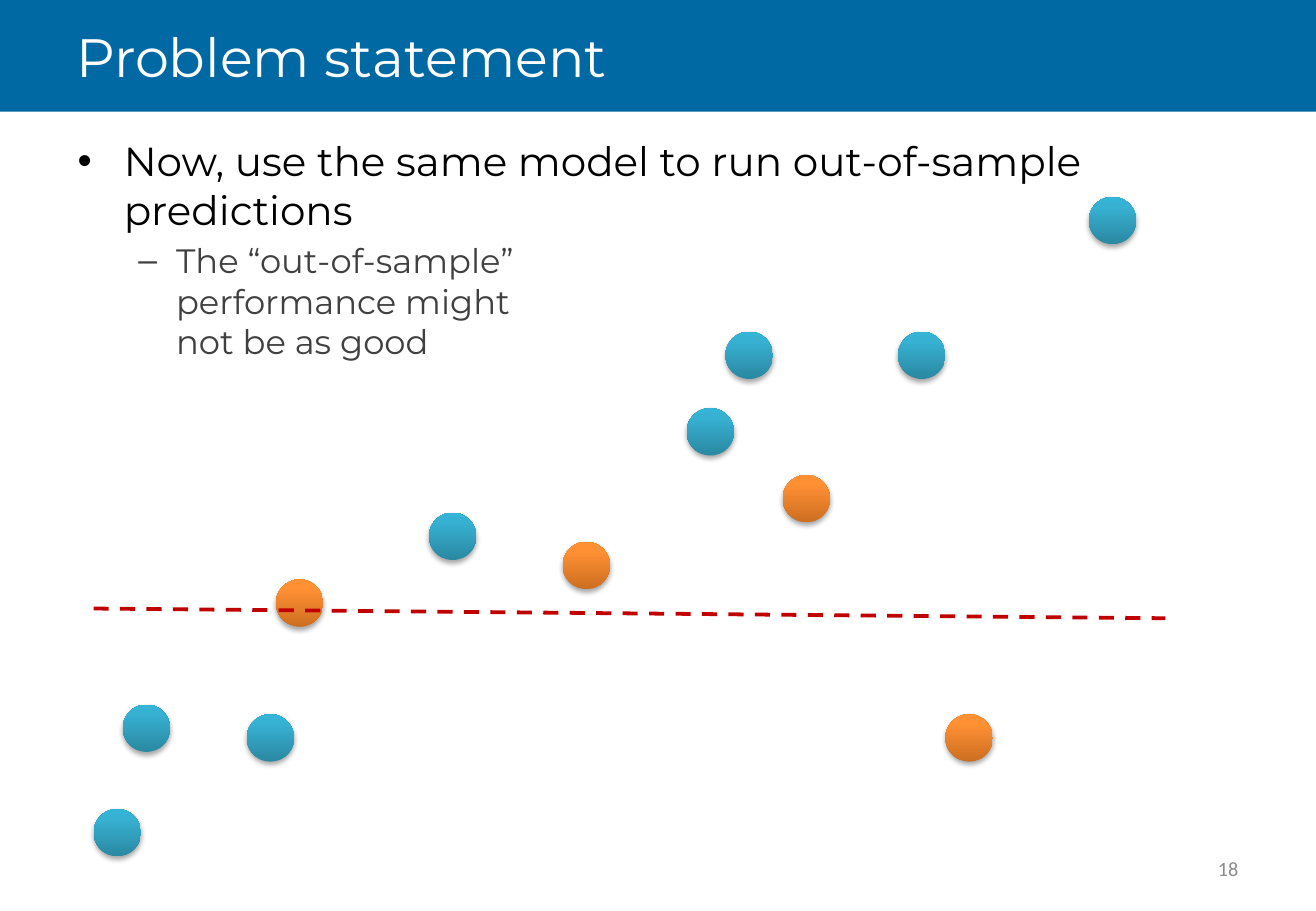
from copy import deepcopy
from dataclasses import dataclass

from pptx import Presentation
from pptx import util as u
from pptx.dml.color import RGBColor
from pptx.enum import dml, shapes, text
from pptx.oxml import parse_xml
from pptx.oxml.ns import nsdecls, qn
from pptx.oxml.xmlchemy import OxmlElement

# Content
TITLE = "Problem statement"
# lines, bullet, left margin, hanging indent, style name
BULLETS = [
    (["Now, use the same model to run out-of-sample predictions"], "•", 0.38, 0.38, "point"),
    (["The “out-of-sample”", "performance might", "not be as good"], "–", 0.81, 0.31, "detail"),
]
PAGE_NUMBER = "18"
NEW_SAMPLES = [(2.27, 4.77), (6.44, 3.91), (4.63, 4.46), (7.78, 5.88)]
KNOWN_SAMPLES = [(3.53, 4.22), (2.03, 5.88), (1.01, 5.8), (5.97, 2.73),
                 (7.39, 2.73), (5.65, 3.36), (8.96, 1.62), (0.77, 6.66)]
MODEL_LINE = (0.77, 5.01, 9.59, 5.09)


@dataclass(frozen=True)
class Theme:
    bar: str = "0068A2"
    model: str = "C00000"
    # font, size, colour
    title: tuple = ("Montserrat", 32, "FFFFFF")
    point: tuple = ("Montserrat", 24, "000000")
    detail: tuple = ("Montserrat", 20, "404040")
    number: tuple = ("Calibri", 12, "8C8C8C")
    # gradient stops from bottom to top
    orange: tuple = ((0, "CC6E20"), (0.8, "FF9034"), (1, "FF9136"))
    teal: tuple = ((0, "2A88A2"), (0.8, "37B1D2"), (1, "34B4D6"))


theme = Theme()
WIDTH, BAR_HEIGHT, DOT = 10.83, 0.92, 0.39


def inches(*values):
    return [u.Inches(value) for value in values]


def add_span(para, words, style):
    span = para.add_run()
    span.text = words
    span.font.name, size, colour = style
    span.font.size = u.Pt(size)
    span.font.color.rgb = RGBColor.from_string(colour)


def set_bullet(para, char, margin, hanging):
    props = para._p.get_or_add_pPr()
    props.set("marL", str(u.Inches(margin)))
    props.set("indent", str(-u.Inches(hanging)))
    font = OxmlElement("a:buFont")
    font.set("typeface", "Arial")
    bullet = OxmlElement("a:buChar")
    bullet.set("char", char)
    props.extend([font, bullet])


def add_dot(page, left, top, stops):
    dot = page.shapes.add_shape(shapes.MSO_SHAPE.OVAL, *inches(left, top, DOT, DOT))
    dot.line.fill.background()
    dot.fill.gradient()
    dot.fill.gradient_angle = 90
    stop_list = dot._element.spPr.find(".//" + qn("a:gsLst"))
    stop_list.insert(1, deepcopy(stop_list[0]))
    for stop, (position, colour) in zip(dot.fill.gradient_stops, stops):
        stop.position = position
        stop.color.rgb = RGBColor.from_string(colour)
    # Soft shadow below the dot
    dot.shadow.inherit = False
    dot._element.spPr.find(qn("a:effectLst")).append(parse_xml(
        f'<a:outerShdw {nsdecls("a")} blurRad="{u.Pt(3.1)}" dist="{u.Pt(1.8)}" '
        'dir="5400000" rotWithShape="0"><a:srgbClr val="000000">'
        '<a:alpha val="35000"/></a:srgbClr></a:outerShdw>'))


def main():
    deck = Presentation()
    deck.slide_width, deck.slide_height = inches(WIDTH, 7.5)
    page = deck.slides.add_slide(deck.slide_layouts[5])

    # Title on its bar
    bar = page.shapes.add_shape(shapes.MSO_SHAPE.RECTANGLE, *inches(0, 0, WIDTH, BAR_HEIGHT))
    bar.fill.solid()
    bar.fill.fore_color.rgb = RGBColor.from_string(theme.bar)
    bar.line.fill.background()
    bar.shadow.inherit = False
    title = page.shapes.title
    title._element.addprevious(bar._element)
    title.left, title.top, title.width, title.height = inches(0.53, 0, 9.75, BAR_HEIGHT)
    title.text_frame.auto_size = text.MSO_AUTO_SIZE.NONE
    title.text_frame.vertical_anchor = text.MSO_ANCHOR.MIDDLE
    para = title.text_frame.paragraphs[0]
    para.alignment = text.PP_ALIGN.LEFT
    add_span(para, TITLE, theme.title)

    # Bullets
    body = page.shapes.add_textbox(*inches(0.54, 1.07, 9.75, 5.63)).text_frame
    body.word_wrap = True
    for index, (lines, char, margin, hanging, style_name) in enumerate(BULLETS):
        style = getattr(theme, style_name)
        para = body.add_paragraph() if index else body.paragraphs[0]
        para.level = index
        if index:
            para.space_before = u.Pt(style[1] * 0.2)
        set_bullet(para, char, margin, hanging)
        for number, line in enumerate(lines):
            if number:
                para.add_line_break()
            add_span(para, line, style)

    # Page number
    box = page.shapes.add_textbox(*inches(7.76, 6.95, 2.53, 0.4)).text_frame
    box.word_wrap = True
    box.vertical_anchor = text.MSO_ANCHOR.MIDDLE
    box.paragraphs[0].alignment = text.PP_ALIGN.RIGHT
    add_span(box.paragraphs[0], PAGE_NUMBER, theme.number)

    # Samples with the model line between the two groups
    for left, top in NEW_SAMPLES:
        add_dot(page, left, top, theme.orange)
    model = page.shapes.add_connector(shapes.MSO_CONNECTOR.STRAIGHT, *inches(*MODEL_LINE))
    model.line.color.rgb = RGBColor.from_string(theme.model)
    model.line.width = u.Pt(2.25)
    model.line.dash_style = dml.MSO_LINE.DASH
    model._element.spPr.append(OxmlElement("a:effectLst"))
    for left, top in KNOWN_SAMPLES:
        add_dot(page, left, top, theme.teal)

    deck.save("out.pptx")


if __name__ == "__main__":
    main()
